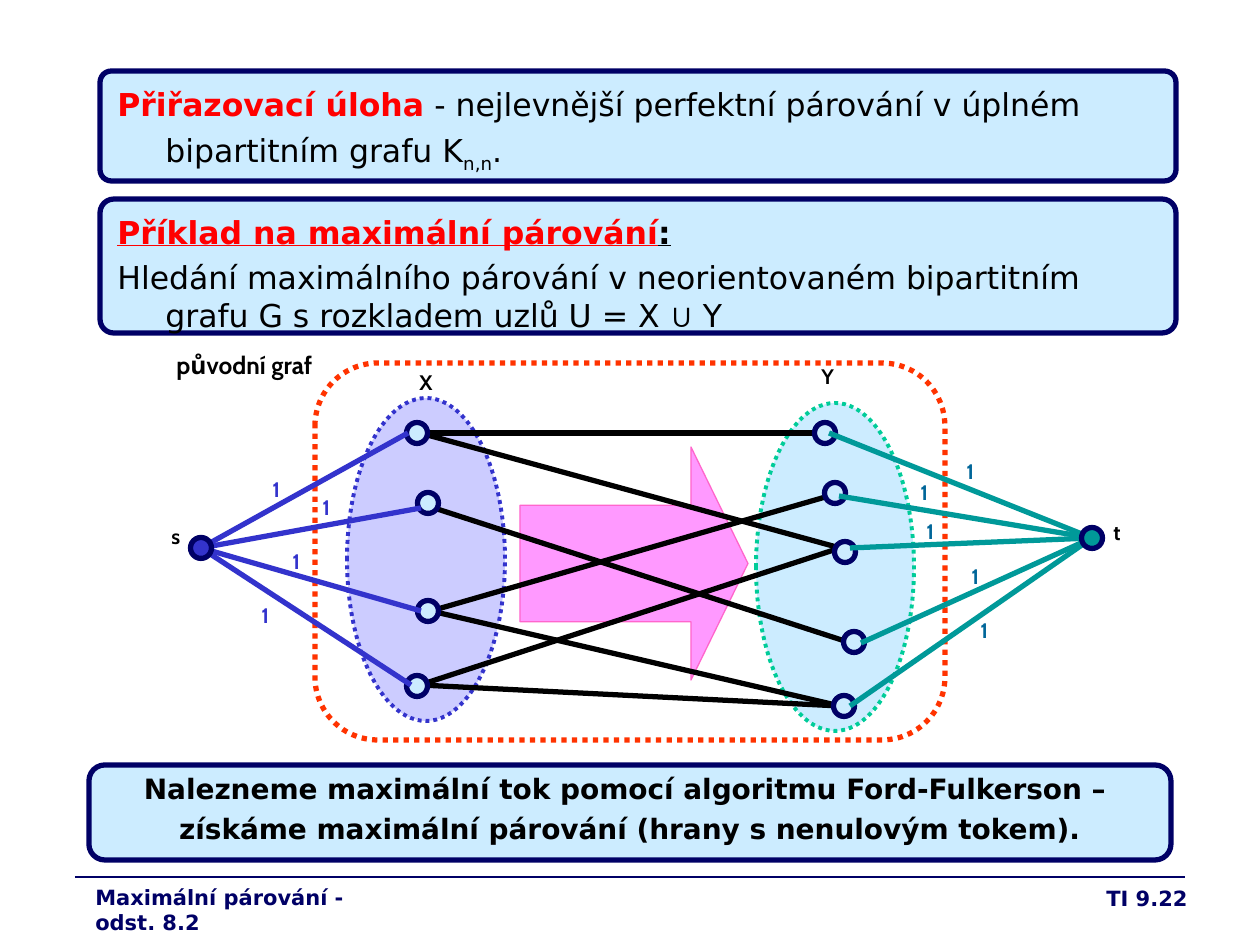
from lxml import etree
from pptx import Presentation
from pptx.dml.color import RGBColor
from pptx.enum.dml import MSO_LINE
from pptx.enum.shapes import MSO_CONNECTOR, MSO_SHAPE
from pptx.enum.text import MSO_ANCHOR, MSO_AUTO_SIZE, PP_ALIGN
from pptx.oxml.ns import qn
from pptx.util import Pt

PX = 914400 / 126
DOTTED = MSO_LINE.ROUND_DOT
STRAIGHT = MSO_CONNECTOR.STRAIGHT
ROUNDED, OVAL, ARROW = MSO_SHAPE.ROUNDED_RECTANGLE, MSO_SHAPE.OVAL, MSO_SHAPE.RIGHT_ARROW
LEFT, CENTER, RIGHT = PP_ALIGN.LEFT, PP_ALIGN.CENTER, PP_ALIGN.RIGHT

BLACK = RGBColor(0x00, 0x00, 0x00)
RED = RGBColor(0xFF, 0x00, 0x00)
ORANGE = RGBColor(0xFF, 0x33, 0x00)
NAVY = RGBColor(0x00, 0x00, 0x66)
SKY = RGBColor(0xCC, 0xEC, 0xFF)
LILAC = RGBColor(0xCC, 0xCC, 0xFF)
BLUE = RGBColor(0x33, 0x33, 0xCC)
GREEN = RGBColor(0x00, 0xCC, 0x99)
TEAL = RGBColor(0x00, 0x99, 0x99)
STEEL = RGBColor(0x00, 0x66, 0x99)
PINK = RGBColor(0xFF, 0x99, 0xFF)
ROSE = RGBColor(0xFF, 0x66, 0xCC)

BODY_FONT, LABEL_FONT = "DejaVu Sans", "Cabin"
NODE_SIZE = 21
HANGING = 48

# Node centres and edge ends, measured from the corner of the graph box
X_NODES = [(267, 93), (278, 163), (278, 271), (267, 346)]
Y_NODES = [(675, 93), (685, 153), (695, 212), (704, 302), (694, 366)]
X_IN = [(258, 93), (271, 168), (271, 271), (261, 345)]
X_OUT = [(270, 93), (281, 167), (281, 271), (270, 345)]
Y_IN = [(669, 93), (679, 156), (690, 208), (701, 303), (690, 366)]
Y_OUT = [(x + 10, y) for x, y in Y_IN]
EDGES = [(0, 0), (2, 1), (1, 3), (3, 2), (3, 4), (0, 2), (2, 4)]
SOURCE, SINK = (51, 208), (942, 198)
SOURCE_WEIGHTS = [(110, 130), (160, 148), (130, 202), (99, 256)]
SINK_WEIGHTS = [(804, 112), (758, 133), (764, 172), (809, 217), (818, 271)]


def emu(*lengths):
    return [round(length * PX) for length in lengths]


def add_span(para, text, size=18, color=BLACK, bold=False, font=BODY_FONT,
             underline=False, baseline=0):
    span = para.add_run()
    span.text = text
    span.font.size = Pt(size)
    span.font.color.rgb = color
    span.font.bold = bold
    span.font.name = font
    span.font.underline = underline
    if baseline:
        span.font.language_id = None
        span._r.get_or_add_rPr().set("baseline", str(baseline * 1000))


def format_para(para, align=LEFT, before=0, spacing=1.0, hanging=0):
    properties = para._p.get_or_add_pPr()
    indent, = emu(hanging)
    properties.set("marL", str(indent))
    properties.set("indent", str(-indent))
    etree.SubElement(properties, qn("a:buNone"))
    para.alignment = align
    para.space_before = Pt(before)
    para.line_spacing = spacing


def add_textbox(slide, box, wrap=True):
    frame = slide.shapes.add_textbox(*emu(*box)).text_frame
    frame.word_wrap = wrap
    return frame


def add_label(slide, box, text, align=LEFT, wrap=False, **style):
    para = add_textbox(slide, box, wrap).paragraphs[0]
    format_para(para, align)
    add_span(para, text, bold=True, **style)


def add_figure(slide, kind, box, fill, line, width=3, dash=None, adjustments=()):
    shape = slide.shapes.add_shape(kind, *emu(*box))
    shape.shadow.inherit = False
    for index, value in enumerate(adjustments):
        shape.adjustments[index] = value
    if fill is None:
        shape.fill.background()
    else:
        shape.fill.solid()
        shape.fill.fore_color.rgb = fill
    shape.line.color.rgb = line
    shape.line.width = Pt(width)
    if dash is not None:
        shape.line.dash_style = dash


def add_line(slide, start, end, color, width=3):
    line = slide.shapes.add_connector(STRAIGHT, *emu(*start, *end))
    etree.SubElement(line._element.spPr, qn("a:effectLst"))
    line.line.color.rgb = color
    line.line.width = Pt(width)


def add_panel(slide, box, rounding):
    add_figure(slide, ROUNDED, box, SKY, NAVY, adjustments=[rounding])


def add_definitions(slide, box):
    left, top, width, height = box
    add_panel(slide, (left, top, width, 110), 0.103)
    add_panel(slide, (left, top + 128, width, 134), 0.103)
    frame = add_textbox(slide, (left + 5, top, width - 5, height))

    task = frame.paragraphs[0]
    format_para(task, spacing=1.2, hanging=HANGING)
    add_span(task, "Přiřazovací úloha", color=RED, bold=True)
    add_span(task, " - nejlevnější perfektní párování v úplném bipartitním grafu K")
    add_span(task, "n,n", baseline=-25)
    add_span(task, ".")

    heading = frame.add_paragraph()
    format_para(heading, before=11.2, spacing=1.5, hanging=HANGING)
    add_span(heading, "Příklad na maximální párování", color=RED, bold=True, underline=True)
    add_span(heading, ":", bold=True, underline=True)

    example = frame.add_paragraph()
    format_para(example, before=4.5, hanging=HANGING)
    add_span(example, "Hledání maximálního párování v neorientovaném bipartitním "
                      "grafu G s rozkladem uzlů U = X ")
    add_span(example, "∪", font="Arial")
    add_span(example, " Y")


def add_graph(slide, box):
    left, top = box[:2]

    def at(point):
        return left + point[0], top + point[1]

    def node(center, fill):
        x, y = at(center)
        corner = (x - NODE_SIZE / 2, y - NODE_SIZE / 2)
        add_figure(slide, OVAL, (*corner, NODE_SIZE, NODE_SIZE), fill, NAVY)

    def label(corner, text, color=BLACK, size=12, width=36, height=38):
        add_label(slide, (*at(corner), width, height), text,
                  size=size, color=color, font=LABEL_FONT)

    def terminal(center, name, name_corner, ends, color, weights, weight_color):
        for end in ends:
            add_line(slide, at(center), at(end), color)
        label(name_corner, name)
        node(center, color)
        for corner in weights:
            label(corner, "1", weight_color)

    add_figure(slide, ARROW, (*at((370, 107)), 228, 233), PINK, ROSE, 0.75,
               adjustments=[0.5, 0.25])
    add_figure(slide, OVAL, (*at((197, 58)), 158, 323), LILAC, BLUE, 2.25, DOTTED)
    add_figure(slide, OVAL, (*at((606, 63)), 158, 328), SKY, GREEN, 2.25, DOTTED)
    label((257, 23), "X")
    label((659, 17), "Y")
    for x_index, y_index in EDGES:
        add_line(slide, at(X_OUT[x_index]), at(Y_IN[y_index]), BLACK)
    add_figure(slide, ROUNDED, (*at((165, 23)), 630, 377), None, ORANGE, 3, DOTTED, [0.167])
    label((14, 4), "původní graf", size=14, width=183, height=43)
    for center in X_NODES + Y_NODES:
        node(center, SKY)
    terminal(SOURCE, "s", (9, 177), X_IN, BLUE, SOURCE_WEIGHTS, BLUE)
    terminal(SINK, "t", (951, 173), Y_OUT, TEAL, SINK_WEIGHTS, STEEL)


def add_conclusion(slide, box):
    left, top, width, height = box
    add_panel(slide, box, 0.167)
    body = slide.placeholders[1]
    slide.shapes.element.append(body.element)  # bring in front of the panel
    body.left, body.top, body.width, body.height = emu(left + 5, top, width - 10, height - 6)
    frame = body.text_frame
    frame.auto_size = MSO_AUTO_SIZE.NONE
    frame.vertical_anchor = MSO_ANCHOR.TOP
    lines = ["Nalezneme maximální tok pomocí algoritmu Ford-Fulkerson – ",
             "získáme maximální párování (hrany s nenulovým tokem)."]
    for index, text in enumerate(lines):
        para = frame.add_paragraph() if index else frame.paragraphs[0]
        format_para(para, CENTER, before=4 if index else 0, hanging=HANGING)
        add_span(para, text, size=16, bold=True)


def add_footer(slide, box):
    left, top, width, height = box
    add_line(slide, (left, top), (left + width, top), NAVY, 0.75)
    add_label(slide, (left + 8, top + 1, 340, height), "Maximální párování - odst. 8.2",
              wrap=True, size=12, color=NAVY)
    add_label(slide, (left + 863, top + 2, 262, height), "TI 9.22", RIGHT,
              wrap=True, size=12, color=NAVY)


def main():
    deck = Presentation()
    deck.slide_width, deck.slide_height = emu(1260, 945)
    slide = deck.slides.add_slide(deck.slide_layouts[1])
    title = slide.shapes.title.element
    title.getparent().remove(title)
    add_footer(slide, (75, 877, 1110, 45))
    add_definitions(slide, (100, 71, 1076, 248))
    add_graph(slide, (150, 340, 1000, 400))
    add_conclusion(slide, (89, 765, 1082, 95))
    deck.save("out.pptx")


if __name__ == "__main__":
    main()
